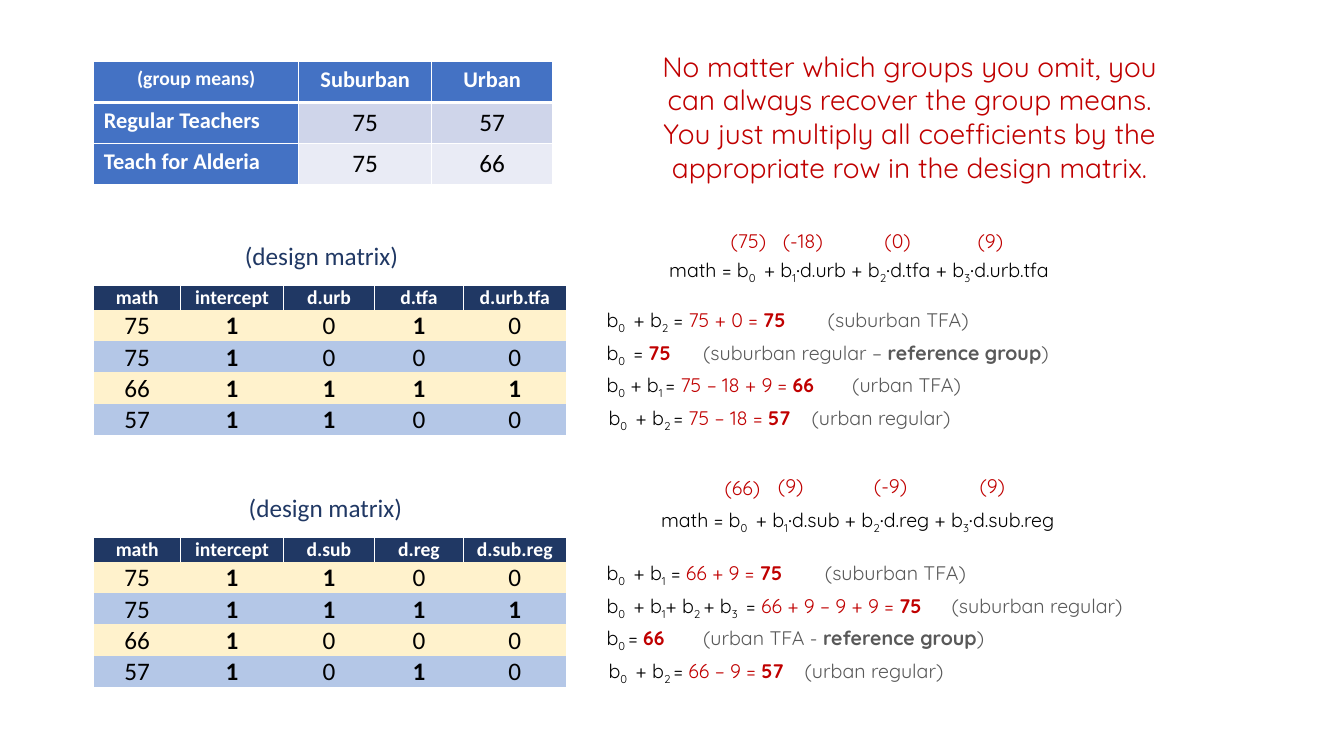
from dataclasses import dataclass

from lxml import etree
from pptx import Presentation
from pptx.dml.color import RGBColor
from pptx.enum.text import MSO_ANCHOR, MSO_AUTO_SIZE, PP_ALIGN
from pptx.oxml.ns import qn
from pptx.util import Pt

LEFT, CENTER = PP_ALIGN.LEFT, PP_ALIGN.CENTER
TOP, BOTTOM = MSO_ANCHOR.TOP, MSO_ANCHOR.BOTTOM
FIT_SHAPE = MSO_AUTO_SIZE.SHAPE_TO_FIT_TEXT

CALIBRI, QUICKSAND = "Calibri", "Quicksand"
WHITE, BLACK, RED, GRAY = "FFFFFF", "000000", "C00000", "595959"
NAVY, BLUE = "203864", "4472C4"
MEAN_FILLS = ["CFD5EA", "E9EBF5"]
MATRIX_FILLS = ["FFF2CC", "B4C7E7"]
NO_STYLE = "{2D5ABB26-0587-4C30-8999-92F81FD0307C}"

TABLE_LEFT = 67
RESULT_LEFT = 426.2
RESULT_OFFSETS = [0, 23, 46, 70]
LINE_HEIGHT = 24.5
COEF_WIDTH = 61.2


@dataclass
class Coef:
    left: float
    top: float
    text: str


@dataclass
class Result:
    formula: str
    working: str
    mean: str
    note: str
    tab: float
    indent: float = 0


@dataclass
class Model:
    caption_left: float
    caption_top: float
    matrix_top: float
    header: list[str]
    rows: list[str]
    formula_left: float
    formula_top: float
    formula: str
    coefs: list[Coef]
    results_top: float
    results: list[Result]


MODELS = [
    Model(
        167.8, 167.8, 203.8,
        ["math", "intercept", "d.urb", "d.tfa", "d.urb.tfa"],
        ["75 1 0 1 0", "75 1 0 0 0", "66 1 1 1 1", "57 1 1 0 0"],
        470.9, 180.7,
        "math = b|0 | + b|1|∙d.urb + b|2|∙d.tfa + b|3|∙d.urb.tfa",
        [Coef(504, 159.8, "(75)"), Coef(542.9, 159.8, "(-18)"),
         Coef(610.6, 159.8, "(0)"), Coef(676.8, 159.8, "(9)")],
        216.7,
        [Result("b|0 | + b|2| = ", "75 + 0 = ", "75", "(suburban TFA)", 158),
         Result("b|0 | = ", "", "75",
                "(suburban regular – |reference group|)", 69),
         Result("b|0| + b|1 |= ", "75 – 18 + 9 = ", "66", "(urban TFA)", 175.5),
         Result("b|0 | + b|2 |= ", "75 – 18 = ", "57",
                "(urban regular)", 145, 1.5)],
    ),
    Model(
        170.6, 347.8, 383.8,
        ["math", "intercept", "d.sub", "d.reg", "d.sub.reg"],
        ["75 1 1 0 0", "75 1 1 1 1", "66 1 0 0 0", "57 1 0 1 0"],
        465.1, 359.3,
        "math = b|0 | + b|1|∙d.sub + b|2|∙d.reg + b|3|∙d.sub.reg",
        [Coef(499.7, 336.2, "(66)"), Coef(534.2, 334.8, "(9)"),
         Coef(605.5, 334.8, "(-9)"), Coef(678.2, 334.8, "(9)")],
        397.4,
        [Result("b|0 | + b|1| = ", "66 + 9 = ", "75", "(suburban TFA)", 156),
         Result("b|0 | + b|1|+ b|2 |+ b|3 | = ", "66 + 9 – 9 + 9 = ", "75",
                "(suburban regular)", 246.5),
         Result("b|0 |= ", "", "66", "(urban TFA - |reference group|)", 69),
         Result("b|0 | + b|2 |= ", "66 – 9 = ", "57",
                "(urban regular)", 140, 1.5)],
    ),
]


def rgb(color: str) -> RGBColor:
    return RGBColor.from_string(color)


def add_run(p, text: str, size: float, color: str, font: str = QUICKSAND,
            bold: bool = False, subscript: bool = False) -> None:
    r = p.add_run()
    r.text = text
    r.font.size, r.font.name, r.font.bold = Pt(size), font, bold
    r.font.color.rgb = rgb(color)
    if subscript:
        r.font._element.set("baseline", "-25000")


def add_formula(p, formula: str) -> None:
    for i, part in enumerate(formula.split("|")):
        add_run(p, part, 14, BLACK, subscript=i % 2 == 1)


def add_paragraph_box(s, left: float, top: float, width: float,
                      height: float = LINE_HEIGHT, align=LEFT):
    sp = s.shapes.add_textbox(Pt(left), Pt(top), Pt(width), Pt(height))
    tf = sp.text_frame
    tf.word_wrap, tf.auto_size = True, FIT_SHAPE
    p = tf.paragraphs[0]
    p.alignment = align
    return p


def add_result(s, result: Result, top: float) -> None:
    p = add_paragraph_box(s, RESULT_LEFT + result.indent, top, 410)
    tabs = etree.SubElement(p._p.get_or_add_pPr(), qn("a:tabLst"))
    etree.SubElement(tabs, qn("a:tab"), pos=str(Pt(result.tab)), algn="l")
    add_formula(p, result.formula)
    if result.working:
        add_run(p, result.working, 14, RED)
    add_run(p, result.mean, 14, RED, bold=True)
    add_run(p, "\t", 14, GRAY)
    for i, part in enumerate(result.note.split("|")):
        add_run(p, part, 14, GRAY, bold=i % 2 == 1)


def add_grid(s, top: float, widths: list[float], heights: list[float]):
    frame = s.shapes.add_table(len(heights), len(widths), Pt(TABLE_LEFT), Pt(top),
                               Pt(sum(widths)), Pt(sum(heights)))
    table = frame.table
    table.first_row = table.horz_banding = False
    table._tbl.tblPr.find(qn("a:tableStyleId")).text = NO_STYLE
    for column, width in zip(table.columns, widths):
        column.width = Pt(width)
    for row, height in zip(table.rows, heights):
        row.height = Pt(height)
    return table


def fill_cell(cell, text: str, size: float, color: str, fill: str, bold: bool,
              align=CENTER, anchor=TOP) -> None:
    cell.fill.solid()
    cell.fill.fore_color.rgb = rgb(fill)
    cell.vertical_anchor = anchor
    p = cell.text_frame.paragraphs[0]
    p.alignment = align
    add_run(p, text, size, color, CALIBRI, bold)


def add_borders(cell, widths: dict[str, float]) -> None:
    tcPr = cell._tc.get_or_add_tcPr()
    for i, (side, width) in enumerate(widths.items()):
        line = etree.Element(qn(f"a:ln{side}"), w=str(Pt(width)))
        fill = etree.SubElement(line, qn("a:solidFill"))
        etree.SubElement(fill, qn("a:srgbClr"), val=WHITE)
        tcPr.insert(i, line)


def add_group_means(s) -> None:
    rows = [["(group means)", "Suburban", "Urban"],
            ["Regular Teachers", "75", "57"],
            ["Teach for Alderia", "75", "66"]]
    table = add_grid(s, 44, [146.4, 95, 86.4], [29.3] * 3)
    for i, row in enumerate(rows):
        for j, text in enumerate(row):
            cell = table.cell(i, j)
            if i == 0 or j == 0:
                size = 14 if i == j else 16
                fill_cell(cell, text, size, WHITE, BLUE, True,
                          LEFT if i else CENTER)
            else:
                fill_cell(cell, text, 18, BLACK, MEAN_FILLS[i - 1], False)
            add_borders(cell, {"L": 1, "R": 1, "T": 3 if i == 1 else 1,
                               "B": 1 if i else 3})


def add_matrix(s, model: Model) -> None:
    table = add_grid(s, model.matrix_top, [62, 73.5, 65, 63.5, 73.5],
                     [17.3] + [22.3] * 4)
    rows = [model.header] + [row.split() for row in model.rows]
    for i, row in enumerate(rows):
        for j, text in enumerate(row):
            cell = table.cell(i, j)
            cell.margin_left = cell.margin_right = cell.margin_top = Pt(0.7)
            cell.margin_bottom = 0
            if i == 0:
                fill_cell(cell, text, 14, WHITE, NAVY, True, anchor=BOTTOM)
                add_borders(cell, {"L": 1, "R": 1, "T": 1})
            else:
                fill_cell(cell, text, 18, BLACK, MATRIX_FILLS[(i - 1) % 2],
                          text == "1", anchor=BOTTOM)


def add_model(s, model: Model) -> None:
    p = add_paragraph_box(s, model.caption_left, model.caption_top, 126, 29)
    add_run(p, "(design matrix)", 18, NAVY, CALIBRI)
    add_matrix(s, model)
    for coef in model.coefs:
        p = add_paragraph_box(s, coef.left, coef.top, COEF_WIDTH, align=CENTER)
        add_run(p, coef.text, 14, RED)
    p = add_paragraph_box(s, model.formula_left, model.formula_top, 328)
    add_formula(p, model.formula)
    for result, offset in zip(model.results, RESULT_OFFSETS):
        add_result(s, result, model.results_top + offset)


prs = Presentation()
prs.slide_width, prs.slide_height = Pt(960), Pt(540)
s = prs.slides.add_slide(prs.slide_layouts[6])
add_group_means(s)
p = add_paragraph_box(s, 456.5, 31.7, 386.6, 104.4, CENTER)
add_run(p, "No matter which groups you omit, you can always recover the group means. "
        "You just multiply all coefficients by the appropriate row in the "
        "design matrix.", 20, RED)
for model in MODELS:
    add_model(s, model)
prs.save("out.pptx")
